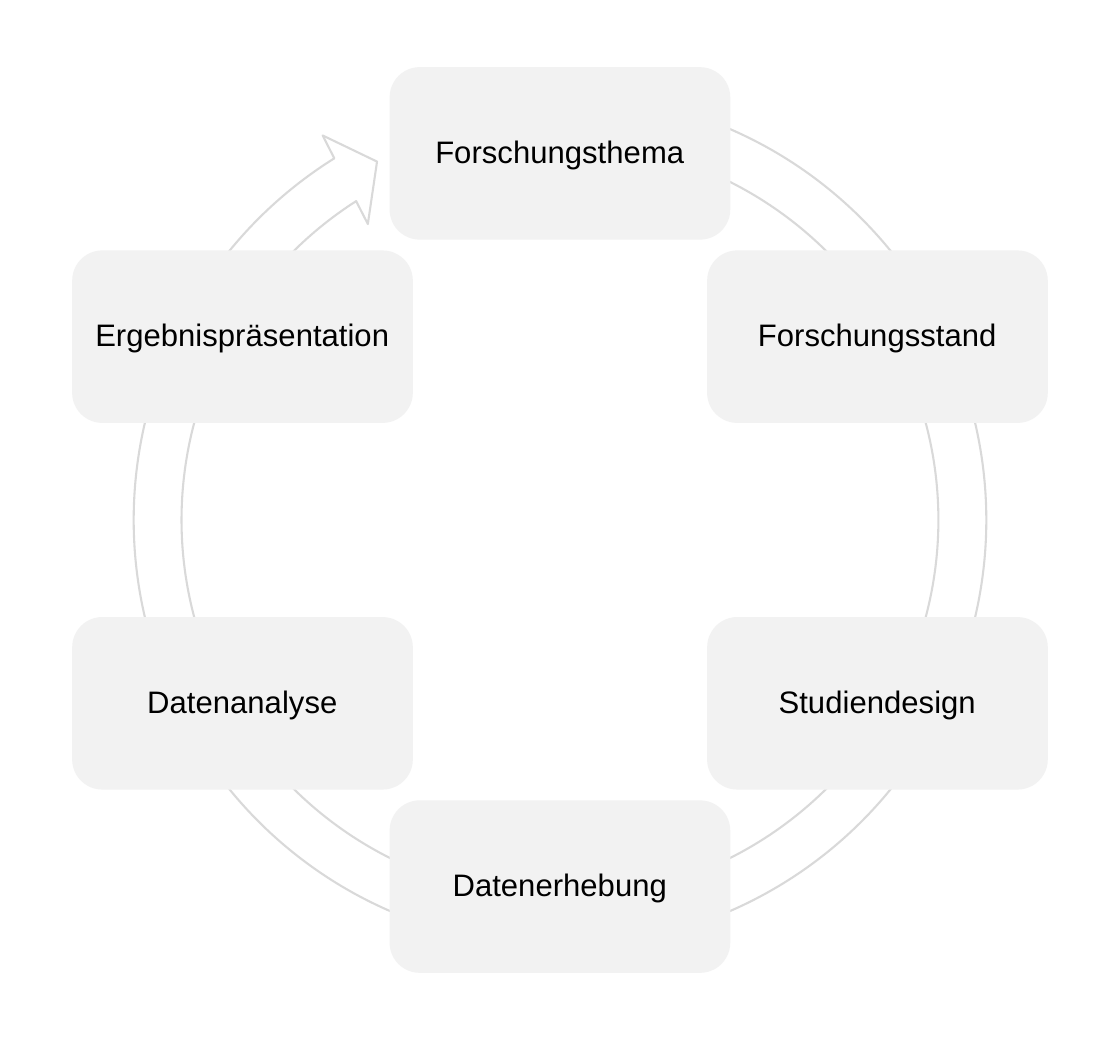
import math

from pptx import Presentation
from pptx import util as u
from pptx.dml.color import RGBColor
from pptx.enum import shapes, text

WHITE = RGBColor(0xFF, 0xFF, 0xFF)
BLACK = RGBColor(0x00, 0x00, 0x00)
BOX_GREY = RGBColor(0xF2, 0xF2, 0xF2)
RING_GREY = RGBColor(0xD9, 0xD9, 0xD9)

POINTS_PER_CM = 72 / 2.54
SLIDE_WIDTH, SLIDE_HEIGHT = 14 * POINTS_PER_CM, 13 * POINTS_PER_CM
CENTER_X, CENTER_Y = SLIDE_WIDTH / 2, SLIDE_HEIGHT / 2
RING_SIZE = 320.4
STEP_RADIUS = 129.9
BOX_WIDTH, BOX_HEIGHT = 119.2, 59.6

# Thickness, head angle, end angle, start angle, head width
RING_ADJUSTMENTS = (0.053, 3.126, 142.646, 171.057, 0.055)

STEPS = (
    "Forschungsthema",
    "Forschungsstand",
    "Studiendesign",
    "Datenerhebung",
    "Datenanalyse",
    "Ergebnispräsentation",
)


def set_all(target, values):
    for name, value in values.items():
        setattr(target, name, value)


class CycleSlide:
    frame_format = {
        "word_wrap": True,
        "vertical_anchor": text.MSO_ANCHOR.MIDDLE,
        "margin_left": u.Pt(3.6),
        "margin_right": u.Pt(3.6),
        "margin_top": u.Pt(3.6),
        "margin_bottom": u.Pt(3.6),
    }
    paragraph_format = {"alignment": text.PP_ALIGN.CENTER, "line_spacing": 0.9}
    font_format = {"name": "Arial", "size": u.Pt(11)}

    def __init__(self, presentation):
        self.slide = presentation.slides.add_slide(presentation.slide_layouts[6])

    def centered_shape(self, kind, x, y, width, height, fill, line, line_width):
        """Add a preset shape whose middle lies at x, y."""
        shape = self.slide.shapes.add_shape(
            kind, u.Pt(x - width / 2), u.Pt(y - height / 2), u.Pt(width), u.Pt(height)
        )
        shape.shadow.inherit = False
        shape.fill.solid()
        shape.fill.fore_color.rgb = fill
        shape.line.color.rgb = line
        shape.line.width = u.Pt(line_width)
        return shape

    def ring_arrow(self):
        ring = self.centered_shape(
            shapes.MSO_SHAPE.CIRCULAR_ARROW, CENTER_X, CENTER_Y,
            RING_SIZE, RING_SIZE, WHITE, RING_GREY, 0,
        )
        for index, value in enumerate(RING_ADJUSTMENTS):
            ring.adjustments[index] = value

    def step_box(self, label, x, y):
        box = self.centered_shape(
            shapes.MSO_SHAPE.ROUNDED_RECTANGLE, x, y,
            BOX_WIDTH, BOX_HEIGHT, BOX_GREY, BOX_GREY, 1.5,
        )
        frame = box.text_frame
        set_all(frame, self.frame_format)
        paragraph = frame.paragraphs[0]
        set_all(paragraph, self.paragraph_format)
        run = paragraph.add_run()
        run.text = label
        set_all(run.font, self.font_format)
        run.font.color.rgb = BLACK


def main():
    presentation = Presentation()
    presentation.slide_width = u.Pt(SLIDE_WIDTH)
    presentation.slide_height = u.Pt(SLIDE_HEIGHT)

    cycle = CycleSlide(presentation)
    cycle.ring_arrow()
    for index, label in enumerate(STEPS):
        angle = math.tau * index / len(STEPS)
        cycle.step_box(
            label,
            CENTER_X + STEP_RADIUS * math.sin(angle),
            CENTER_Y - STEP_RADIUS * math.cos(angle),
        )

    presentation.save("out.pptx")


if __name__ == "__main__":
    main()
